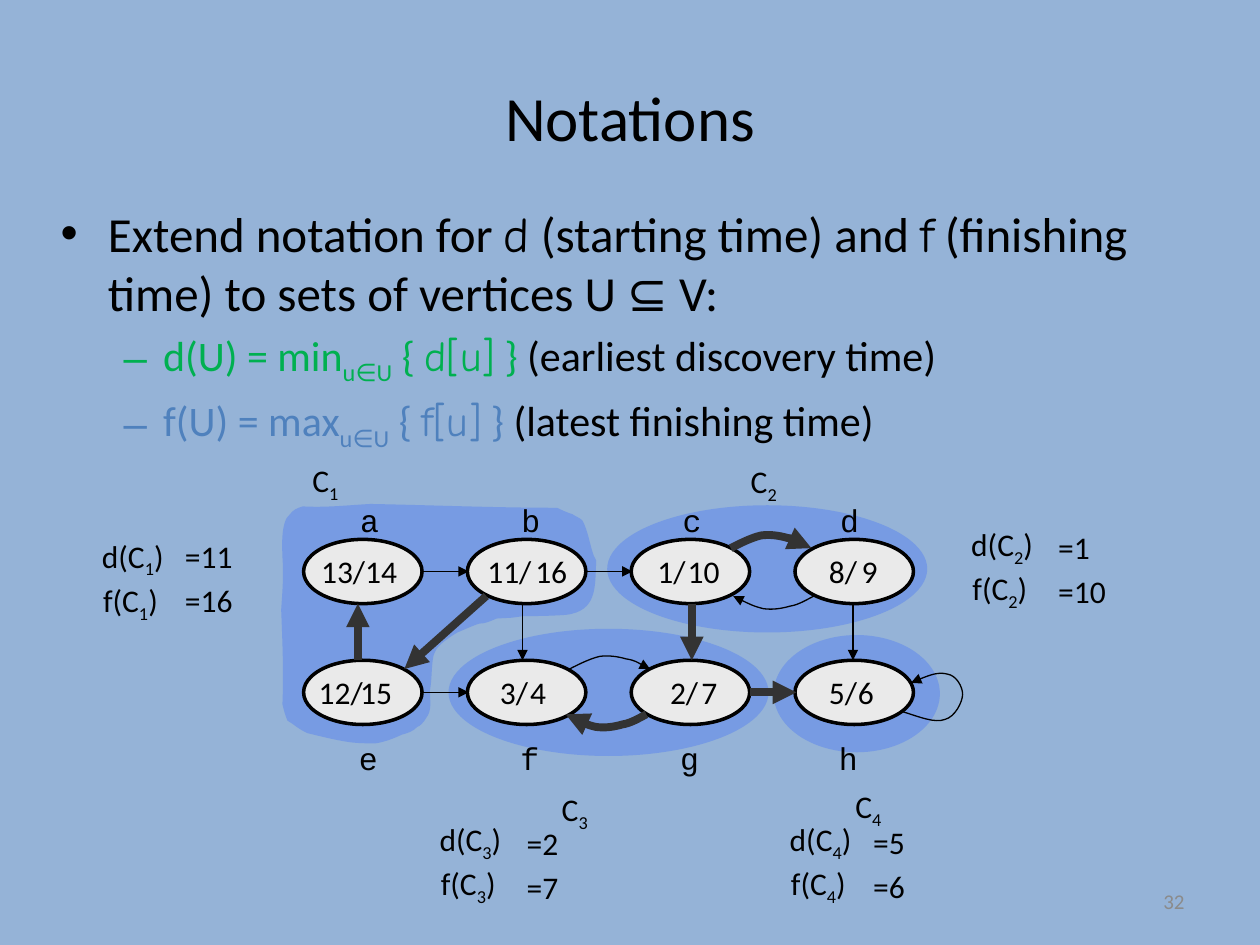
from dataclasses import dataclass

from lxml.etree import SubElement
from pptx import Presentation
from pptx.dml.color import RGBColor
from pptx.enum.shapes import MSO_CONNECTOR as Connector, MSO_SHAPE as Shape
from pptx.enum.text import MSO_ANCHOR as Anchor, MSO_AUTO_SIZE as AutoSize, PP_ALIGN as Align
from pptx.oxml.ns import qn
from pptx.util import Pt


@dataclass(frozen=True)
class Theme:
    back: str = "95B3D7"
    ink: str = "000000"
    green: str = "00B050"
    blue: str = "4F81BD"
    grey: str = "8B8B8B"
    region: str = "3366FF"
    node: str = "EAEAEA"
    tree: str = "333333"
    text: str = "Calibri"
    symbol: str = "Comic Neue"
    code: str = "Courier New"
    title_size: float = 36
    body_size: float = 28
    sub_size: float = 24
    label_size: float = 18
    number_size: float = 12
    thin: float = 0.75
    outline: float = 2
    thick: float = 4.5


THEME = Theme()
LABEL_HEIGHT = 28.8
NODE_WIDTH, NODE_HEIGHT = 67.7, 36.7
COLUMN_STEP, ROW_STEP = 93.6, 69.1

# letter, its offset, start time, its offset, finish time, its offset
NODE_ROWS = [
    [("a", 25.2, "13/", 2.9, "14", 28.1), ("b", 23.8, "11/", 4.3, "16", 31.7),
     ("c", 22.3, "1/", 7.9, "10", 25.2), ("d", 18.7, "8/", 12.3, "9", 31)],
    [("e", 24.5, "12/", 1.5, "15", 25.2), ("f", 23.1, "3/", 11.5, "4", 28.8),
     ("g", 20.9, "2/", 15.1, "7", 33.1), ("h", 18, "5/", 12.3, "6", 28.8)],
]
LETTER_TOPS = (-25.2, 41.7)

# curves: a start point, then three points for each Bézier piece
ARC = [(0, 0), (5.8, -2.9), (11.5, -5.8), (17.3, -7.2), (22.3, -7.9), (27.4, -7.2),
       (32.4, -5.8), (37.4, -5), (41.8, -2.2), (46.1, 0)]
LOOP = [(356.2, 118.8), (365.6, 121.7), (374.2, 125.3), (380, 123.1), (385.8, 121.7),
        (390.1, 113), (390.1, 108.7), (390.1, 104.4), (386.5, 97.9), (381.4, 97.2),
        (376.4, 95.8), (368.5, 98.6), (360.6, 102.2)]
C1_REGION = [
    (13, 1.4), (26, 2.2), (39, 0.7), (51.8, 0), (87.1, 0.7), (123.1, 2.2), (158.4, 2.2),
    (161.3, 3.6), (164.2, 5), (167, 5.8), (169, 7.2), (171.4, 7.9), (172.8, 9.4),
    (176, 15), (177, 23), (179.3, 29.5), (180.7, 32), (181, 33), (180.7, 33.1),
    (180, 47.5), (181.4, 61.2), (163.4, 63.4), (155, 64), (147, 64.1), (139, 64.1),
    (129.6, 65.5), (134.6, 64.8), (123.8, 65.5), (120.2, 67), (117.4, 68.4), (113.8, 68.4),
    (109, 70), (105, 72), (101.5, 73.4), (97, 76), (93, 79), (90.7, 81.4),
    (89, 83), (88.6, 85), (87.8, 86.4), (86.4, 93), (87, 100), (85.7, 106.6),
    (85.7, 113), (87, 118), (83.5, 122.4), (82, 125), (80, 127), (78.5, 127.4),
    (76, 130), (73, 131), (69.8, 131.8), (65, 134), (60, 136), (54.7, 136.8),
    (49.7, 136.8), (44.6, 136.8), (39.6, 136.1), (32, 135), (24, 133), (15.8, 131),
    (11, 129), (8, 126), (4.3, 123.8), (3, 121), (2, 117), (1.4, 114.5),
    (2.2, 96.5), (1.4, 78.5), (0.7, 60.5), (1.4, 49.7), (2.2, 41), (1.4, 30.2),
    (1.4, 26.6), (0, 10), (5.8, 5.8), (7.2, 3.6), (10, 2.2), (13, 1.4)]
REGIONS = [(282.1, 74.9, 95, 67), (187, 0.7, 182.9, 72.7), (96.3, 71.3, 182.9, 72.7)]

# index, label place, place of d(C), offset of the values, values
COMPONENTS = [
    ("1", (171.4, 260), (51.1, 303.1), (47.5, 0), ("=11", "=16")),
    ("2", (421.9, 260.6), (547.9, 296.6), (49.7, 1.5), ("=1", "=10")),
    ("3", (313.9, 447.8), (244.1, 465.1), (49.7, 2.2), ("=2", "=7")),
    ("4", (481.7, 446.4), (444.2, 465.1), (47.6, 1.5), ("=5", "=6")),
]


def rgb(value):
    return RGBColor.from_string(value)


def place(shape, box):
    shape.left, shape.top, shape.width, shape.height = map(Pt, box)


def style(font, size=None, color=None, name=None):
    if size:
        font.size = Pt(size)
    if color:
        font.color.rgb = rgb(color)
    if name:
        font.name = name


def add_span(para, text, subscript=False):
    span = para.add_run()
    span.text = text
    if subscript:
        span._r.get_or_add_rPr().set("baseline", "-25000")
    return span


def add_label(page, left, top, width, parts, name=THEME.text):
    """Place a one-line label; every second part is a subscript."""
    label = page.shapes.add_textbox(Pt(left), Pt(top), Pt(width), Pt(LABEL_HEIGHT))
    label.text_frame.word_wrap = False
    label.text_frame.auto_size = AutoSize.SHAPE_TO_FIT_TEXT
    para = label.text_frame.paragraphs[0]
    style(para.font, THEME.label_size, THEME.ink, name)
    for index, part in enumerate(parts):
        add_span(para, part, index % 2 == 1)


def add_figure(page, left, top, text):
    """Place a number in a box wide enough for its digits and slash on one line."""
    slashes = text.count("/")
    width = 14.4 + 10.1 * (len(text) - slashes) + 8 * slashes
    add_label(page, left, top, width, [text])


def tint_region(shape):
    shape.shadow.inherit = False
    shape.fill.solid()
    shape.fill.fore_color.rgb = rgb(THEME.region)
    color = shape._element.spPr.find(".//" + qn("a:srgbClr"))
    SubElement(color, qn("a:alpha"), val="30000")
    shape.line.fill.background()


def draw_arrow_line(shape, thick):
    shape.line.color.rgb = rgb(THEME.tree if thick else THEME.ink)
    shape.line.width = Pt(THEME.thick if thick else THEME.thin)
    SubElement(shape.line._get_or_add_ln(), qn("a:tailEnd"), type="triangle")


def add_curve(page, origin, points, close=False):
    start, *rest = [(Pt(origin[0] + x), Pt(origin[1] + y)) for x, y in points]
    builder = page.shapes.build_freeform(*start)
    builder.add_line_segments(rest, close=close)
    shape = builder.convert_to_shape()
    shape.shadow.inherit = False
    path = shape._element.find(".//" + qn("a:path"))
    pieces = path.findall(qn("a:lnTo"))
    for index in range(0, len(rest), 3):
        piece, *others = pieces[index:index + 3]
        for other in others:
            piece.append(other[0])
            path.remove(other)
        piece.tag = qn("a:cubicBezTo")
    return shape


def add_curved_arrow(page, origin, points, thick=False):
    shape = add_curve(page, origin, points)
    shape.fill.background()
    draw_arrow_line(shape, thick)


def add_arrow(page, origin, start, end, thick=False):
    ends = [Pt(origin[i] + point[i]) for point in (start, end) for i in (0, 1)]
    line = page.shapes.add_connector(Connector.STRAIGHT, *ends)
    draw_arrow_line(line, thick)
    SubElement(line._element.spPr, qn("a:effectLst"))


def node_corner(column, row):
    return 13.5 + COLUMN_STEP * column, 20.2 + ROW_STEP * row


def add_regions(page, origin):
    tint_region(add_curve(page, origin, C1_REGION, close=True))
    for left, top, width, height in REGIONS:
        oval = page.shapes.add_shape(Shape.OVAL, 0, 0, 0, 0)
        place(oval, (origin[0] + left, origin[1] + top, width, height))
        tint_region(oval)


def add_nodes(page, origin):
    for row, nodes in enumerate(NODE_ROWS):
        for column, (letter, shift, start, start_shift, finish, finish_shift) in enumerate(nodes):
            x, y = node_corner(column, row)
            left, top = origin[0] + x, origin[1] + y
            oval = page.shapes.add_shape(Shape.OVAL, 0, 0, 0, 0)
            place(oval, (left, top, NODE_WIDTH, NODE_HEIGHT))
            oval.shadow.inherit = False
            oval.fill.solid()
            oval.fill.fore_color.rgb = rgb(THEME.node)
            oval.line.color.rgb = rgb(THEME.ink)
            oval.line.width = Pt(THEME.outline)
            add_label(page, left + shift, top + LETTER_TOPS[row], 22.3, [letter], THEME.code)
            add_figure(page, left + start_shift, top + 3.6, start)
            add_figure(page, left + finish_shift, top + 3.6, finish)


def add_edges(page, origin):
    for column, row, thick in [(0, 0, False), (1, 0, False), (0, 1, False), (2, 1, True)]:
        x, y = node_corner(column, row)
        middle = y + NODE_HEIGHT / 2
        add_arrow(page, origin, (x + NODE_WIDTH, middle), (x + COLUMN_STEP + 0.8, middle), thick)
    for column, shift, upward, thick in [(0, 31, True, True), (1, 31.5, False, False),
                                         (2, 34.6, False, True), (3, 33.1, False, False)]:
        x, y = node_corner(column, 0)
        ends = [(x + shift, y + NODE_HEIGHT), (x + shift, y + ROW_STEP)]
        add_arrow(page, origin, *(reversed(ends) if upward else ends), thick)
    add_arrow(page, origin, (117.9, 52.6), (71.1, 94.3), True)
    for x, y, forward, thick in [(165.4, 94.3, True, False), (257.6, 25.2, True, True),
                                 (259, 52.6, False, False), (163.3, 120.2, False, True)]:
        points = ARC if forward else [(px, -py) for px, py in reversed(ARC)]
        add_curved_arrow(page, (origin[0] + x, origin[1] + y), points, thick)
    add_curved_arrow(page, origin, LOOP)


def add_component(page, index, label, times, shift, values):
    add_label(page, *label, 33.8, ["C", index])
    for row, (name, width, value) in enumerate(zip("df", (56.2, 51.1), values)):
        left, top = times[0], times[1] + 25.3 * row
        add_label(page, left + 0.7 * row, top, width, [name + "(C", index, ")"])
        add_figure(page, left + shift[0], top + shift[1], value)


def fill_title(title, box):
    place(title, box)
    title.text_frame.vertical_anchor = Anchor.MIDDLE
    para = title.text_frame.paragraphs[0]
    para.alignment = Align.CENTER
    add_span(para, "Notations")
    style(para.font, THEME.title_size, THEME.ink, THEME.text)


def fill_body(body, box):
    place(body, box)
    frame = body.text_frame
    para = frame.paragraphs[0]
    style(para.font, THEME.body_size, THEME.ink)
    for index, text in enumerate(["Extend notation for ", "d", " (starting time) and ", "f",
                                  " (finishing time) to sets of vertices U ⊆ V:"]):
        style(add_span(para, text).font, name=THEME.symbol if index % 2 else THEME.text)
    for head, symbol, remark, color in [
            ("d(U) = min", "d[u]", "(earliest discovery time)", THEME.green),
            ("f(U) = max", "f[u]", "(latest finishing time)", THEME.blue)]:
        para = frame.add_paragraph()
        para.level = 1
        style(para.font, THEME.sub_size, color, THEME.text)
        add_span(para, head)
        add_span(para, "u∈U", subscript=True)
        add_span(para, " { ")
        style(add_span(para, symbol).font, name=THEME.symbol)
        add_span(para, " } ")
        style(add_span(para, remark).font, color=THEME.ink)


def add_page_number(page, box):
    number = page.shapes.add_textbox(*map(Pt, box))
    number.text_frame.word_wrap = True
    number.text_frame.vertical_anchor = Anchor.MIDDLE
    para = number.text_frame.paragraphs[0]
    para.alignment = Align.RIGHT
    add_span(para, "32")
    style(para.font, THEME.number_size, THEME.grey, THEME.text)


def main():
    deck = Presentation()
    deck.slide_width, deck.slide_height = Pt(720), Pt(540)
    page = deck.slides.add_slide(deck.slide_layouts[1])
    page.background.fill.solid()
    page.background.fill.fore_color.rgb = rgb(THEME.back)
    fill_title(page.shapes.title, (36, 21.6, 648, 90))
    fill_body(page.placeholders[1], (27.5, 112.5, 648, 147.6))
    graph = (160, 288)
    add_regions(page, graph)
    add_nodes(page, graph)
    add_edges(page, graph)
    for component in COMPONENTS:
        add_component(page, *component)
    add_page_number(page, (516, 500.5, 168, 28.75))
    deck.save("out.pptx")


if __name__ == "__main__":
    main()
